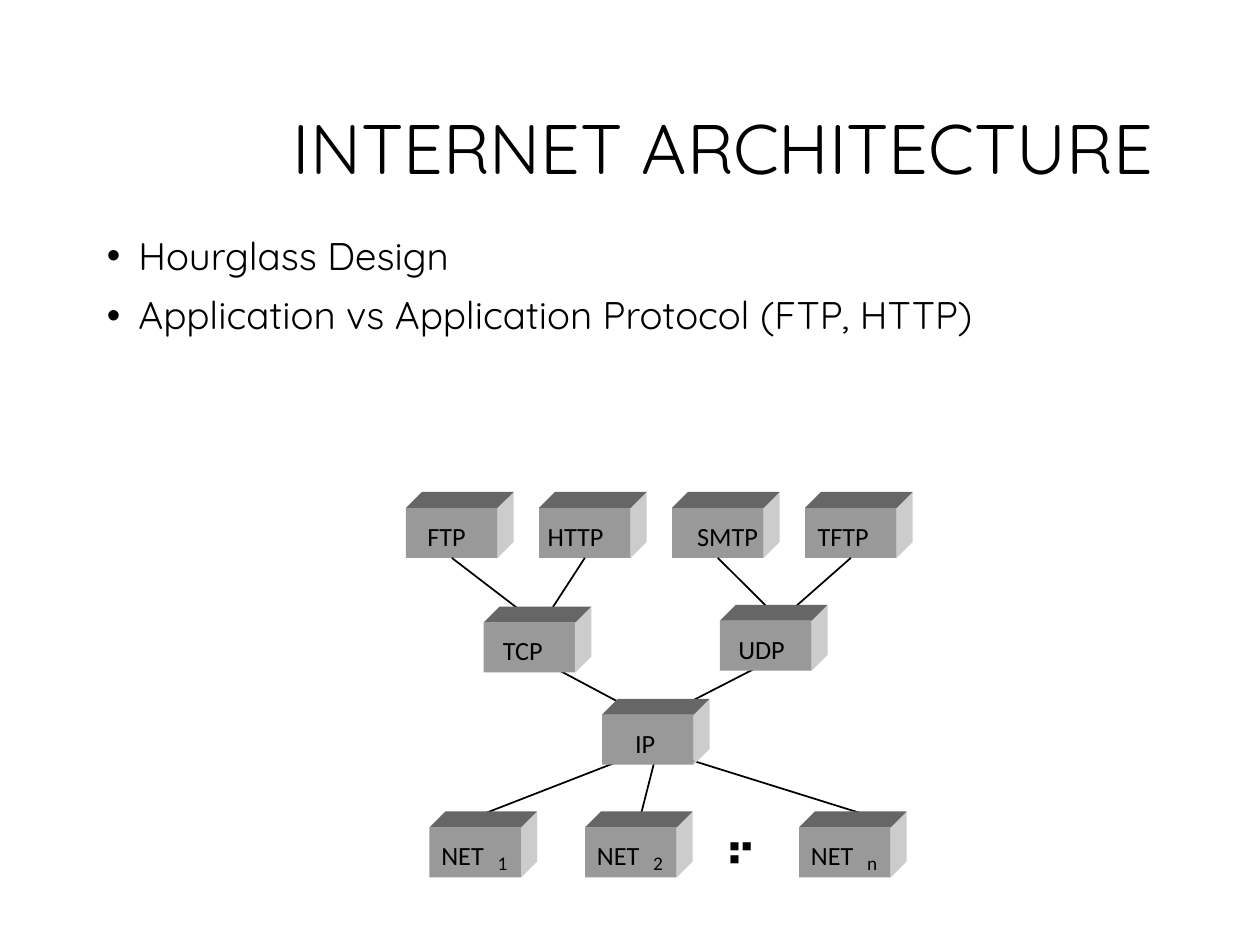
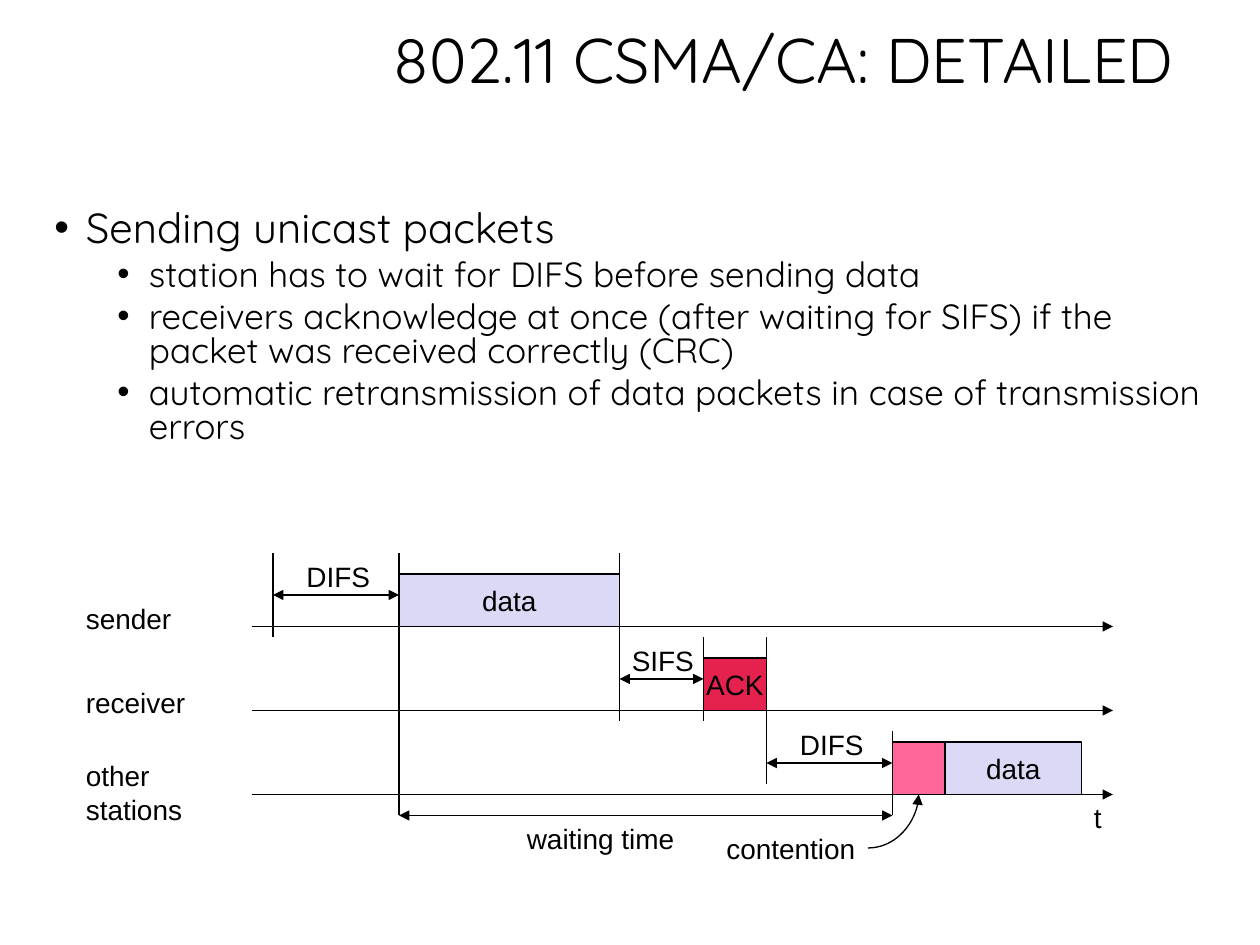
"""Build two networking slides: the hourglass architecture and 802.11 CSMA/CA timing."""
from lxml import etree
from pptx import Presentation
from pptx.dml.color import RGBColor
from pptx.enum.shapes import MSO_CONNECTOR, MSO_SHAPE
from pptx.enum.text import MSO_ANCHOR, PP_ALIGN
from pptx.oxml.ns import qn
from pptx.util import Pt

STRAIGHT, CURVE = MSO_CONNECTOR.STRAIGHT, MSO_CONNECTOR.CURVE
RECTANGLE = MSO_SHAPE.RECTANGLE
LEFT, CENTER, RIGHT = PP_ALIGN.LEFT, PP_ALIGN.CENTER, PP_ALIGN.RIGHT
TOP, MIDDLE = MSO_ANCHOR.TOP, MSO_ANCHOR.MIDDLE

HEX = {
    "ink": "000000", "front": "999999", "side": "CCCCCC", "lid": "666666",
    "data": "DADAF6", "ack": "E5224E", "contention": "FF6699",
}
COLOR = {name: RGBColor.from_string(value) for name, value in HEX.items()}
HEADING, LABEL, TIMING = "Quicksand", "Calibri", "Arial"


def write(box, lines, font, size, align=LEFT, anchor=TOP, wrap=False, inset=None):
    """Fill a box with one paragraph per line and return the paragraphs."""
    frame = box.text_frame
    frame.word_wrap = wrap
    frame.vertical_anchor = anchor
    if inset is not None:
        frame.margin_left = frame.margin_right = Pt(inset)
        frame.margin_top = frame.margin_bottom = Pt(inset)
    for index, line in enumerate(lines):
        para = frame.paragraphs[0] if index == 0 else frame.add_paragraph()
        para.alignment = align
        span = para.add_run()
        span.text = line
        span.font.name = font
        span.font.size = Pt(size)
        span.font.color.rgb = COLOR["ink"]
    return frame.paragraphs


def draw_line(page, start, end, width=0.75, arrows=(), kind=STRAIGHT):
    """Draw a connector with arrowheads at the named ends."""
    line = page.shapes.add_connector(kind, *[Pt(value) for value in (*start, *end)])
    line.line.color.rgb = COLOR["ink"]
    line.line.width = Pt(width)
    properties = line.element.spPr
    for arrow in arrows:
        etree.SubElement(properties.find(qn("a:ln")), qn(f"a:{arrow}"), type="triangle")
    etree.SubElement(properties, qn("a:effectLst"))
    return line


deck = Presentation()
deck.slide_width, deck.slide_height = Pt(720), Pt(540)

outlines = [
    {
        "title": "INTERNET ARCHITECTURE", "title_at": (54, 42, 612, 90), "title_size": 40,
        "body_at": (54, 132, 636, 324), "sizes": (22, 20), "spacing": 0.9,
        "points": [(0, "Hourglass Design"),
                   (0, "Application vs Application Protocol (FTP, HTTP)")],
    },
    {
        "title": "802.11 CSMA/CA: DETAILED", "title_at": (32, 18, 645.6, 36), "title_size": 36,
        "body_at": (24, 117.4, 672, 152), "sizes": (24, 20), "spacing": 0.8,
        "points": [
            (0, "Sending unicast packets"),
            (1, "station has to wait for DIFS before sending data"),
            (1, "receivers acknowledge at once (after waiting for SIFS) if the "
                "packet was received correctly (CRC)"),
            (1, "automatic retransmission of data packets in case of transmission errors"),
        ],
    },
]
pages = []
for outline in outlines:
    page = deck.slides.add_slide(deck.slide_layouts[6])
    pages.append(page)
    box = page.shapes.add_textbox(*[Pt(value) for value in outline["title_at"]])
    title = write(box, [outline["title"]], HEADING, outline["title_size"], RIGHT, MIDDLE, True)
    title[0].line_spacing = 0.9
    box = page.shapes.add_textbox(*[Pt(value) for value in outline["body_at"]])
    paras = write(box, [text for _, text in outline["points"]], HEADING,
                  outline["sizes"][0], wrap=True)
    for index, (para, (level, _)) in enumerate(zip(paras, outline["points"])):
        properties = para._p.get_or_add_pPr()
        properties.set("marL", str(Pt(18 + 36 * level)))
        properties.set("indent", str(Pt(-18)))
        etree.SubElement(properties, qn("a:buFont"), typeface="Arial")
        etree.SubElement(properties, qn("a:buChar"), char="•")
        para.level = level
        para.line_spacing = outline["spacing"]
        para.space_before = Pt((10, 5)[level] if index else 0)
        para.runs[0].font.size = Pt(outline["sizes"][level])

hourglass, timing = pages

FRONT_WIDTH, FRONT_HEIGHT, DEPTH = 52.4, 28.6, 9.1
applications = [
    ("FTP", 12.2, 28, ""), ("HTTP", 5, 39, ""), ("SMTP", 14.4, 42, ""), ("TFTP", 7.2, 37.4, ""),
]
app_blocks = [(232 + 76 * index, 290.2, *app) for index, app in enumerate(applications)]
lower_blocks = [
    (276.4, 355.7, "TCP", 10.9, 30.2, ""),
    (411.4, 354.7, "UDP", 10.5, 31.7, ""),
    (344, 408.4, "IP", 18.9, 14.4, ""),
]
lower_blocks += [(left, 472.8, "NET", 6.8, 30.2, mark)
                 for left, mark in ((245.4, "1"), (334.3, "2"), (456.6, "n"))]
transport_ends = [(296, 347.8), (315.4, 347.8), (437.8, 346.3), (455, 346.3)]
links = [
    ((307.4, 376.6), (358.6, 403.9)), ((442, 376.6), (388.8, 403.9)),
    ((357.8, 433.4), (278, 464.4)), ((374.4, 433.4), (366.5, 464.4)),
    ((391.7, 433.4), (491, 464.4)),
]
fronts = []
for row in (app_blocks, lower_blocks):
    for left, top, name, label_offset, label_width, mark in row:
        right, bottom = left + FRONT_WIDTH, top + FRONT_HEIGHT
        front = hourglass.shapes.add_shape(
            RECTANGLE, Pt(left), Pt(top), Pt(FRONT_WIDTH), Pt(FRONT_HEIGHT))
        fronts.append(front)
        back_corner = (right + DEPTH, top - DEPTH)
        side = [(right, top), back_corner, (right + DEPTH, bottom - DEPTH), (right, bottom)]
        lid = [(left, top), (left + DEPTH, top - DEPTH), back_corner, (right, top)]
        faces = [(front, "front")]
        for corners, color in ((side, "side"), (lid, "lid")):
            points = [(Pt(x), Pt(y)) for x, y in corners]
            builder = hourglass.shapes.build_freeform(*points[0])
            builder.add_line_segments(points[1:], close=True)
            faces.append((builder.convert_to_shape(), color))
        for face, color in faces:
            face.shadow.inherit = False
            face.fill.solid()
            face.fill.fore_color.rgb = COLOR[color]
            face.line.fill.background()
        box = hourglass.shapes.add_textbox(
            Pt(left + label_offset), Pt(top + 7), Pt(label_width), Pt(18))
        write(box, [name], LABEL, 15, inset=0)
        if mark:
            box = hourglass.shapes.add_textbox(Pt(left + 38.9), Pt(top + 13.8), Pt(6.5), Pt(13))
            write(box, [mark], LABEL, 11, inset=0)
    if row is app_blocks:
        for front, end in zip(fronts, transport_ends):
            draw_line(hourglass, (0, 0), end, 1).begin_connect(front, 2)
        for start, end in links:
            draw_line(hourglass, start, end, 1)

box = hourglass.shapes.add_textbox(Pt(417), Pt(479.5), Pt(14.4), Pt(7.2))
write(box, ["■ ■ ■"], LABEL, 6, wrap=True, inset=0)

SENDER, RECEIVER, OTHERS = axes = [358 + 48 * index for index in range(3)]
WAIT_START, SEND, SENT, ACK, ACKED, CONTEND, RESEND, RESENT = (
    156, 228, 354, 402, 438, 510, 540, 618)
WAITING = 466

periods = [
    (SEND, SENT, SENDER, "data", "data"), (ACK, ACKED, RECEIVER, "ACK", "ack"),
    (CONTEND, RESEND, OTHERS, "", "contention"), (RESEND, RESENT, OTHERS, "data", "data"),
]
for start, end, axis, name, color in periods:
    period = timing.shapes.add_shape(RECTANGLE, Pt(start), Pt(axis - 30), Pt(end - start), Pt(30))
    period.shadow.inherit = False
    period.fill.solid()
    period.fill.fore_color.rgb = COLOR[color]
    period.line.color.rgb = COLOR["ink"]
    period.line.width = Pt(0.75)
    if name:
        write(period, [name], TIMING, 16, CENTER, MIDDLE)

for axis in axes:
    draw_line(timing, (144, axis), (636, axis), arrows=["tailEnd"])

ticks = [
    (WAIT_START, 316, 364), (SEND, 316, WAITING), (SENT, 316, 412),
    (ACK, 364, 412), (ACKED, 364, 448), (CONTEND, 418, WAITING),
]
for moment, top, bottom in ticks:
    draw_line(timing, (moment, top), (moment, bottom))

spans = [
    (WAIT_START, SEND, SENDER - 18), (SENT, ACK, RECEIVER - 18),
    (ACKED, CONTEND, OTHERS - 18), (SEND, CONTEND, WAITING),
]
for start, end, height in spans:
    draw_line(timing, (start, height), (end, height), arrows=["headEnd", "tailEnd"])

pointer = draw_line(timing, (496, 484.6), ((CONTEND + RESEND) / 2, OTHERS),
                    arrows=["tailEnd"], kind=CURVE)
pointer.element.spPr.find(qn("a:prstGeom")).set("prst", "curvedConnector2")

labels = [
    (42, SENDER - 18, 63.4, ["sender"]), (42, RECEIVER - 18, 71.3, ["receiver"]),
    (42, OTHERS - 24, 69.8, ["other", "stations"]),
    (168, SENDER - 42, 51, ["DIFS"]), (354, RECEIVER - 42, 49.7, ["SIFS"]),
    (450, OTHERS - 42, 51, ["DIFS"]), (294, 466, 98.6, ["waiting time"]),
    (408, 471.6, 88.6, ["contention"]), (618, OTHERS, 18.7, ["t"]),
]
for left, top, width, lines in labels:
    box = timing.shapes.add_textbox(Pt(left), Pt(top), Pt(width), Pt(7.2 + 19.4 * len(lines)))
    write(box, lines, TIMING, 16)

deck.save("out.pptx")
